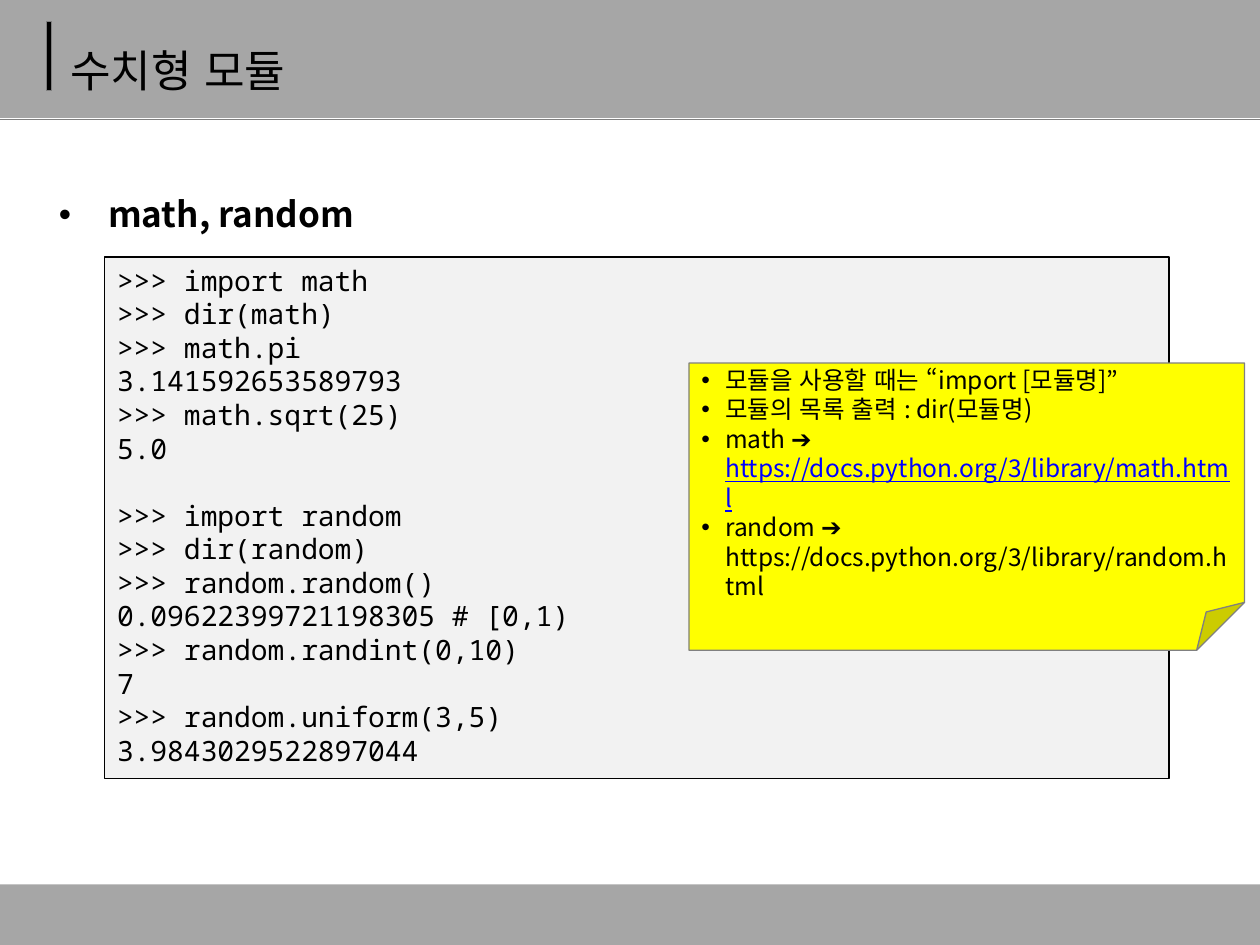
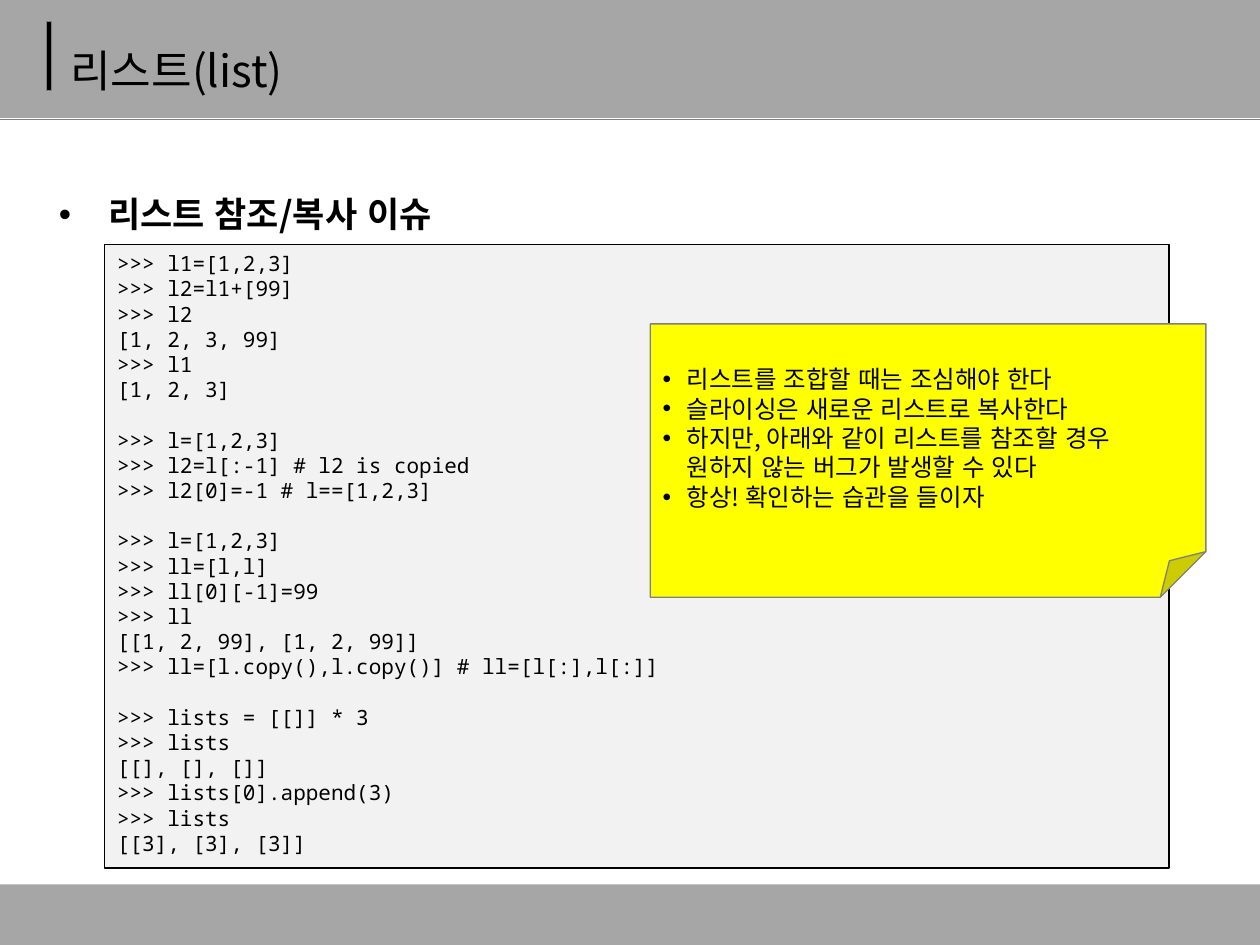
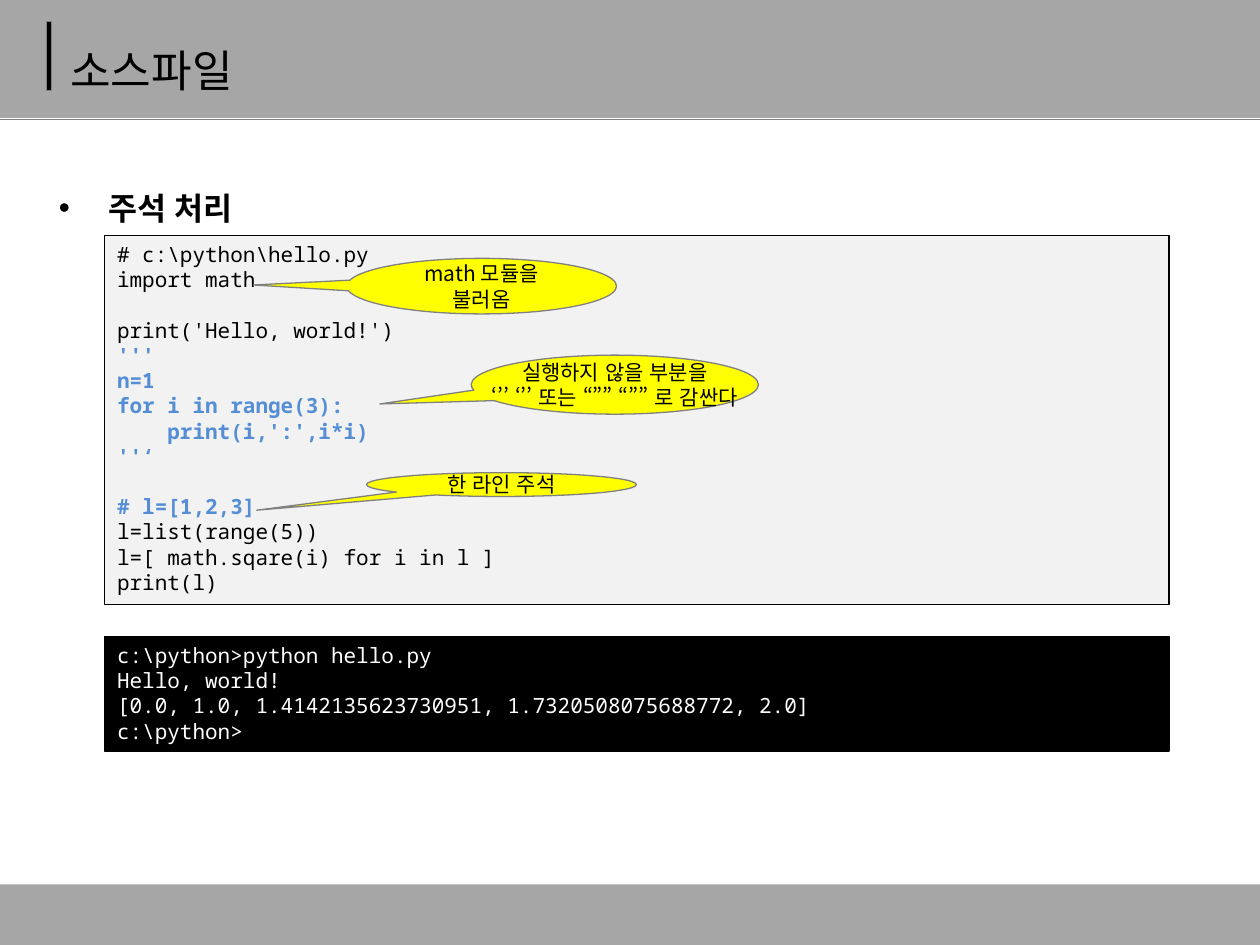
"""Build three Python lecture slides: numeric modules, list references and source files."""
from lxml.etree import SubElement
from pptx import Presentation
from pptx.dml.color import RGBColor
from pptx.enum.lang import MSO_LANGUAGE_ID as Language
from pptx.enum.shapes import MSO_CONNECTOR, MSO_SHAPE as Shape
from pptx.enum.text import MSO_ANCHOR as Anchor, PP_ALIGN as Align
from pptx.oxml.ns import qn
from pptx.util import Cm, Pt

COLORS = {
    "band": "A6A6A6", "edge": "808080", "ink": "000000", "code": "F2F2F2",
    "note": "FFFF00", "link": "0000FF", "comment": "558ED5", "paper": "FFFFFF",
}
SANS, MONO = "Noto Sans CJK KR", "Noto Sans Mono"
LINE_HEIGHT = 1.2


def add_block(slide, kind, box, fill, edge=None):
    """Add a preset shape with a flat fill and an optional thin outline."""
    block = slide.shapes.add_shape(kind, *(Cm(length) for length in box))
    block.shadow.inherit = False
    block.fill.solid()
    block.fill.fore_color.rgb = RGBColor.from_string(COLORS[fill])
    if edge:
        block.line.color.rgb = RGBColor.from_string(COLORS[edge])
        block.line.width = Pt(0.75)
    else:
        block.line.fill.background()
    return block


def write(frame, lines, size, font=SANS, color="ink", leading=1, bold=False,
          align=Align.LEFT, anchor=Anchor.TOP, indent=0):
    """Write paragraphs; an empty line becomes space before the next one."""
    frame.word_wrap = True
    frame.vertical_anchor = anchor
    pitch = Pt(size * LINE_HEIGHT * leading)
    paragraph, gap = None, 0
    for line in lines:
        if not line:
            gap = pitch
            continue
        paragraph = frame.add_paragraph() if paragraph else frame.paragraphs[0]
        paragraph.text = line
        if indent:
            properties = paragraph._p.get_or_add_pPr()
            properties.set("marL", str(Cm(indent)))
            properties.set("indent", str(-Cm(indent)))
            SubElement(properties, qn("a:buFont")).set("typeface", "Arial")
            SubElement(properties, qn("a:buChar")).set("char", "•")
        paragraph.alignment = align
        paragraph.line_spacing = pitch
        paragraph.space_before = gap
        gap = 0
        for run in paragraph.runs:
            run.font.name = font
            run.font.size = Pt(size)
            run.font.bold = bold
            run.font.language_id = Language.KOREAN
            run.font.color.rgb = RGBColor.from_string(COLORS[color])
            SubElement(run._r.get_or_add_rPr(), qn("a:ea")).set("typeface", font)


MATH_CODE = """>>> import math
>>> dir(math)
>>> math.pi
3.141592653589793
>>> math.sqrt(25)
5.0

>>> import random
>>> dir(random)
>>> random.random()
0.09622399721198305 # [0,1)
>>> random.randint(0,10)
7
>>> random.uniform(3,5)
3.9843029522897044"""

LIST_CODE = """>>> l1=[1,2,3]
>>> l2=l1+[99]
>>> l2
[1, 2, 3, 99]
>>> l1
[1, 2, 3]

>>> l=[1,2,3]
>>> l2=l[:-1] # l2 is copied
>>> l2[0]=-1 # l==[1,2,3]

>>> l=[1,2,3]
>>> ll=[l,l]
>>> ll[0][-1]=99
>>> ll
[[1, 2, 99], [1, 2, 99]]
>>> ll=[l.copy(),l.copy()] # ll=[l[:],l[:]]

>>> lists = [[]] * 3
>>> lists
[[], [], []]
>>> lists[0].append(3)
>>> lists
[[3], [3], [3]]"""

SOURCE_CODE = r"""# c:\python\hello.py
import math

print('Hello, world!')
'''
n=1
for i in range(3):
    print(i,':',i*i)
''‘

# l=[1,2,3]
l=list(range(5))
l=[ math.sqare(i) for i in l ]
print(l)"""

CONSOLE = r"""c:\python>python hello.py
Hello, world!
[0.0, 1.0, 1.4142135623730951, 1.7320508075688772, 2.0]
c:\python>"""

COMMENTED = ["'''", "n=1", "for i in range(3):", "    print(i,':',i*i)", "''‘", "# l=[1,2,3]"]

MATH_NOTE = [
    "모듈을 사용할 때는 “import [모듈명]”",
    "모듈의 목록 출력 : dir(모듈명)",
    "math ➔ https://docs.python.org/3/library/math.html",
    "random ➔ https://docs.python.org/3/library/random.html",
]
LIST_NOTE = [
    "리스트를 조합할 때는 조심해야 한다",
    "슬라이싱은 새로운 리스트로 복사한다",
    "하지만, 아래와 같이 리스트를 참조할 경우\v원하지 않는 버그가 발생할 수 있다",
    "항상! 확인하는 습관을 들이자",
]
CALLOUTS = [
    (["한 라인 주석"], (7.39, 9.53, 5.44, 0.48), (-0.907, 1.077), True),
    (["실행하지 않을 부분을", "‘’’ ‘’’ 또는 “”” “”” 로 감싼다"],
     (9.5, 7.16, 5.79, 1.19), (-0.818, 0.327), False),
    (["math 모듈을 불러옴"], (6.99, 5.21, 5.44, 1.12), (-0.846, -0.021), True),
]
LESSONS = [
    ("수치형 모듈", "math, random", 20, MATH_CODE, 16, 5.18, 10.52),
    ("리스트(list)", "리스트 참조/복사 이슈", 20, LIST_CODE, 12, 4.93, 12.57),
    ("소스파일", "주석 처리", 18, SOURCE_CODE, 12, 4.75, 7.44),
]
CODE_LEFT, CODE_WIDTH = 2.11, 21.46

deck = Presentation()
deck.slide_width, deck.slide_height = Cm(25.4), Cm(19.05)
slides, listings = [], []

for title, topic, topic_size, code, code_size, code_top, code_height in LESSONS:
    slide = deck.slides.add_slide(deck.slide_layouts[6])
    add_block(slide, Shape.RECTANGLE, (0, -0.03, 25.4, 2.41), "band")
    rule = slide.shapes.add_connector(MSO_CONNECTOR.STRAIGHT, 0, Cm(2.41), Cm(25.4), Cm(2.41))
    rule.line.color.rgb = RGBColor.from_string(COLORS["edge"])
    rule.line.width = Pt(0.75)
    SubElement(rule._element.spPr, qn("a:effectLst"))
    add_block(slide, Shape.RECTANGLE, (0.94, 0.43, 0.1, 1.4), "ink", "edge")
    add_block(slide, Shape.RECTANGLE, (0, 17.83, 25.4, 1.22), "band")

    body = slide.shapes.add_textbox(Cm(0.94), Cm(2.92), Cm(23.57), Cm(13.08))
    write(body.text_frame, [topic], topic_size, leading=2, bold=True, indent=0.99)
    heading = slide.shapes.add_textbox(Cm(1.17), Cm(0.36), Cm(21.89), Cm(1.57))
    write(heading.text_frame, [title], 25.2, leading=1.5, anchor=Anchor.MIDDLE)

    listing = add_block(slide, Shape.RECTANGLE,
                        (CODE_LEFT, code_top, CODE_WIDTH, code_height), "code", "ink")
    write(listing.text_frame, code.splitlines(), code_size, MONO)
    slides.append(slide)
    listings.append(listing)

math_slide, list_slide, source_slide = slides
notes = []
for slide, lines, box in [
    (math_slide, MATH_NOTE, (13.89, 7.32, 11.2, 5.79)),
    (list_slide, LIST_NOTE, (13.11, 6.53, 11.2, 5.51)),
]:
    note = add_block(slide, Shape.FOLDED_CORNER, box, "note", "edge")
    write(note.text_frame, lines, 14, anchor=Anchor.MIDDLE, indent=0.48)
    notes.append(note)

math_entry = notes[0].text_frame.paragraphs[2]
lead = math_entry.runs[0]
label, address = lead.text.split("https", 1)
lead.text = label
link = math_entry.add_run()
link.text = "https" + address
link.font.name = SANS
link.font.size = Pt(14)
link.font.underline = True
link.font.language_id = Language.KOREAN
link.font.color.rgb = RGBColor.from_string(COLORS["link"])

for paragraph in listings[2].text_frame.paragraphs:
    if paragraph.text in COMMENTED:
        for run in paragraph.runs:
            run.font.bold = True
            run.font.color.rgb = RGBColor.from_string(COLORS["comment"])

console = add_block(source_slide, Shape.RECTANGLE,
                    (CODE_LEFT, 12.83, CODE_WIDTH, 2.31), "ink", "ink")
write(console.text_frame, CONSOLE.splitlines(), 12, MONO, "paper")

for lines, box, tip, wraps in CALLOUTS:
    callout = add_block(source_slide, Shape.OVAL_CALLOUT, box, "note", "edge")
    callout.adjustments[0], callout.adjustments[1] = tip
    write(callout.text_frame, lines, 12, align=Align.CENTER, anchor=Anchor.MIDDLE)
    callout.text_frame.word_wrap = wraps

deck.save("out.pptx")
